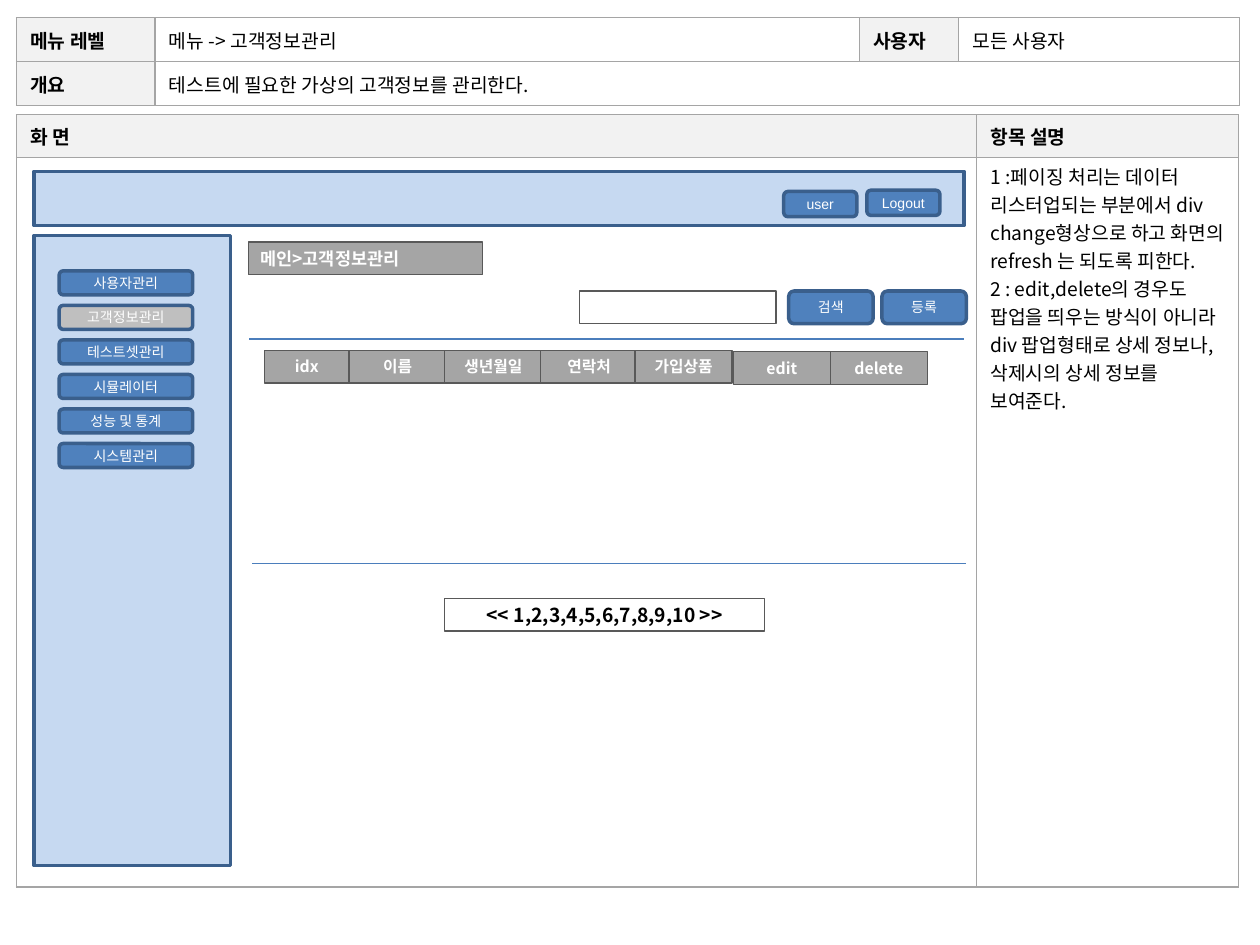
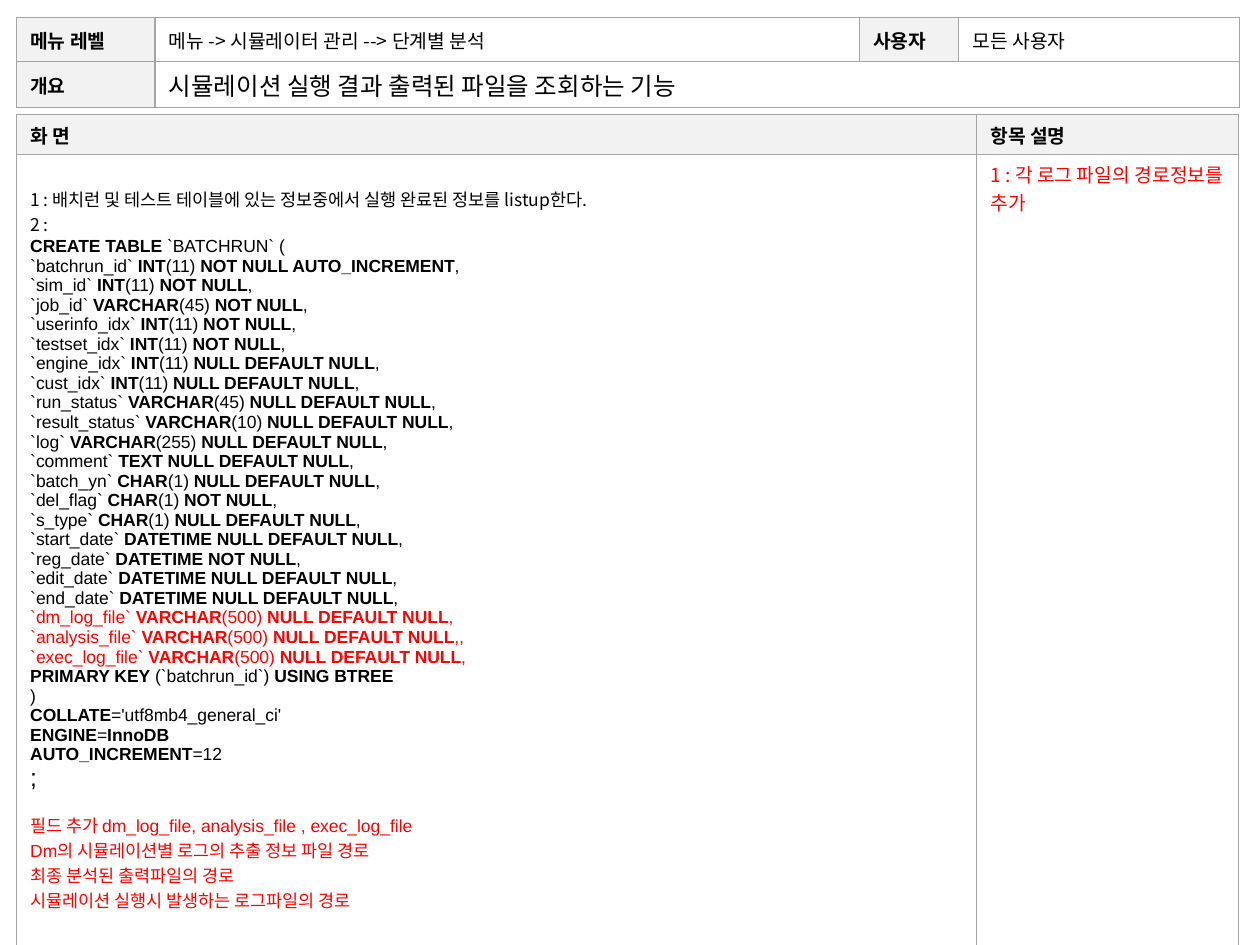
from lxml import etree
from pptx import Presentation
from pptx.dml.color import RGBColor
from pptx.enum import shapes, text
from pptx.oxml import ns
from pptx.util import Inches, Pt

COLORS = {
    "ink": "000000", "white": "FFFFFF", "red": "FF0000",
    "label": "F2F2F2", "grid": "A5A5A5", "gray": "A5A5A5", "gray_line": "595959",
    "panel": "C6D9F1", "button": "4F81BD", "button_line": "3A5F8C",
    "active": "BFBFBF", "rule": "4B7EBC",
}
KOREAN, LATIN = "Noto Sans CJK KR", "Arial"

# ---- Content: "**" switches the emphasis of a paragraph on and off ----
CUSTOMER = {
    "menu": ("메뉴 -> 고객정보관리", {}),
    "summary": ("테스트에 필요한 가상의 고객정보를 관리한다.", {}),
    "rows": (0.34, 5.79),
    "notes": [
        ("1 :페이징 처리는 데이터 리스터업되는 부분에서 div change형상으로 하고 "
         "화면의 refresh 는 되도록 피한다.", {}),
        ("2 : edit,delete의 경우도 팝업을 띄우는 방식이 아니라 div 팝업형태로 "
         "상세 정보나,삭제시의 상세 정보를 보여준다.", {}),
    ],
}
SIDE_MENU = ["사용자관리", "고객정보관리", "테스트셋관리", "시뮬레이터", "성능 및 통계", "시스템관리"]
ACTIVE_MENU = "고객정보관리"
BUTTONS = [  # label, left, top, width, height
    ("Logout", 6.88, 1.51, 0.58, 0.2),
    ("user", 6.22, 1.52, 0.58, 0.2),
    ("검색", 6.26, 2.31, 0.67, 0.26),
    ("등록", 7.0, 2.31, 0.67, 0.26),
]
LIST_COLUMNS = [  # label, left, top, width
    ("idx", 2.1, 2.78, 0.67), ("이름", 2.77, 2.78, 0.77),
    ("생년월일", 3.53, 2.78, 0.77), ("연락처", 4.29, 2.78, 0.77),
    ("가입상품", 5.04, 2.78, 0.77), ("edit", 5.82, 2.79, 0.77),
    ("delete", 6.59, 2.79, 0.77),
]
LIST_RULES = [(1.98, 2.69), (2.0, 4.47)]  # left, top

ANALYSIS = {
    "menu": ("메뉴 -> 시뮬레이터 관리 --> **단계별 분석", {"emphasis": {"name": LATIN}}),
    "summary": ("시뮬레이션 실행 결과 출력된 파일을 조회하는 기능", {"size": 14, "name": LATIN}),
    "rows": (0.32, 6.88),
    "notes": [("1 : 각 로그 파일의 경로정보를 추가", {"color": "red"})],
}
INTRO = ["1 : 배치런 및 테스트 테이블에 있는 정보중에서 실행 완료된 정보를 listup한다.", "2 :"]
FIELDS = [  # name, type, length, rule
    ("batchrun_id", "INT", 11, "NOT NULL AUTO_INCREMENT"),
    ("sim_id", "INT", 11, "NOT NULL"),
    ("job_id", "VARCHAR", 45, "NOT NULL"),
    ("userinfo_idx", "INT", 11, "NOT NULL"),
    ("testset_idx", "INT", 11, "NOT NULL"),
    ("engine_idx", "INT", 11, "NULL DEFAULT NULL"),
    ("cust_idx", "INT", 11, "NULL DEFAULT NULL"),
    ("run_status", "VARCHAR", 45, "NULL DEFAULT NULL"),
    ("result_status", "VARCHAR", 10, "NULL DEFAULT NULL"),
    ("log", "VARCHAR", 255, "NULL DEFAULT NULL"),
    ("comment", "TEXT", None, "NULL DEFAULT NULL"),
    ("batch_yn", "CHAR", 1, "NULL DEFAULT NULL"),
    ("del_flag", "CHAR", 1, "NOT NULL"),
    ("s_type", "CHAR", 1, "NULL DEFAULT NULL"),
    ("start_date", "DATETIME", None, "NULL DEFAULT NULL"),
    ("reg_date", "DATETIME", None, "NOT NULL"),
    ("edit_date", "DATETIME", None, "NULL DEFAULT NULL"),
    ("end_date", "DATETIME", None, "NULL DEFAULT NULL"),
    ("dm_log_file", "VARCHAR", 500, "NULL DEFAULT NULL"),
    ("analysis_file", "VARCHAR", 500, "NULL DEFAULT NULL"),
    ("exec_log_file", "VARCHAR", 500, "NULL DEFAULT NULL"),
]
TABLE_END = [
    "**PRIMARY KEY** (`batchrun_id`) **USING BTREE", ")",
    "**COLLATE**='utf8mb4_general_ci'", "**ENGINE**=**InnoDB", "**AUTO_INCREMENT**=12",
]
ADDED = [
    "필드 추가 dm_log_file, analysis_file , exec_log_file",
    "Dm의 시뮬레이션별 로그의 추출 정보 파일 경로",
    "최종 분석된 출력파일의 경로",
    "시뮬레이션 실행시 발생하는 로그파일의 경로",
]


# ---- Text and colour helpers ----
def rgb(color):
    return RGBColor.from_string(COLORS[color])


def write(frame, lines, **base):
    """Fill a text frame with (text, style) lines over a common style."""
    for number, (line, style) in enumerate(lines):
        look = {"size": 11, "name": KOREAN, "color": "ink", "bold": False,
                "align": text.PP_ALIGN.LEFT, "emphasis": {"bold": True}, **base, **style}
        para = frame.paragraphs[0] if number == 0 else frame.add_paragraph()
        para.alignment = look["align"]
        if "before" in look:
            para.space_before = Pt(look["before"])
        para.font.size = Pt(look["size"])
        para.font.color.rgb = rgb(look["color"])
        para.font.name = look["name"]
        para.font.bold = look["bold"]
        for index, part in enumerate(line.split("**")):
            if part:
                span = para.add_run()
                span.text = part
                if index % 2:
                    for key, value in look["emphasis"].items():
                        setattr(span.font, key, value)


# ---- Table helpers ----
def border(cell):
    props = cell._tc.get_or_add_tcPr()
    for position, side in enumerate(("lnL", "lnR", "lnT", "lnB")):
        line = etree.Element(ns.qn(f"a:{side}"), w=str(Pt(0.75)))
        fill = etree.SubElement(line, ns.qn("a:solidFill"))
        etree.SubElement(fill, ns.qn("a:srgbClr"), val=COLORS["grid"])
        props.insert(position, line)


def add_grid(page, top, widths, heights):
    table = page.shapes.add_table(
        len(heights), len(widths), Inches(0.13), Inches(top),
        Inches(sum(widths)), Inches(sum(heights))).table
    table.first_row = table.horz_banding = False
    for column, width in zip(table.columns, widths):
        column.width = Inches(width)
    for row, height in zip(table.rows, heights):
        row.height = Inches(height)
    for cell in table.iter_cells():
        cell.fill.solid()
        cell.fill.fore_color.rgb = rgb("white")
        cell.margin_left = cell.margin_right = Inches(0.11)
        cell.margin_top = cell.margin_bottom = Inches(0.04)
        border(cell)
    return table


def fill_cell(cell, line, label=False):
    cell.vertical_anchor = text.MSO_ANCHOR.MIDDLE
    if label:
        cell.fill.fore_color.rgb = rgb("label")
    write(cell.text_frame, [line], bold=label)


def add_spec_page(deck, spec):
    """Add the header and body tables; return the page and the screen cell."""
    page = deck.slides.add_slide(deck.slide_layouts[6])
    header = add_grid(page, 0.14, (1.1, 5.59, 0.79, 2.23), (0.35, 0.35))
    header.cell(1, 1).merge(header.cell(1, 3))
    body = add_grid(page, 0.91, (7.62, 2.08), spec["rows"])
    for cell, label in ((header.cell(0, 0), "메뉴 레벨"), (header.cell(0, 2), "사용자"),
                        (header.cell(1, 0), "개요"), (body.cell(0, 0), "화 면"),
                        (body.cell(0, 1), "항목 설명")):
        fill_cell(cell, (label, {}), label=True)
    fill_cell(header.cell(0, 1), spec["menu"])
    fill_cell(header.cell(0, 3), ("모든 사용자", {}))
    fill_cell(header.cell(1, 1), spec["summary"])
    write(body.cell(1, 1).text_frame, spec["notes"])
    return page, body.cell(1, 0)


# ---- Shape helpers ----
def add_box(page, place, fill, line, weight, label="", rounded=False, inset=(0.1, 0.05), **style):
    kind = shapes.MSO_SHAPE.ROUNDED_RECTANGLE if rounded else shapes.MSO_SHAPE.RECTANGLE
    box = page.shapes.add_shape(kind, *map(Inches, place))
    box.shadow.inherit = False
    box.fill.solid()
    box.fill.fore_color.rgb = rgb(fill)
    box.line.color.rgb = rgb(line)
    box.line.width = Pt(weight)
    if label:
        frame = box.text_frame
        frame.word_wrap = True
        frame.vertical_anchor = text.MSO_ANCHOR.MIDDLE
        frame.margin_left = frame.margin_right = Inches(inset[0])
        frame.margin_top = frame.margin_bottom = Inches(inset[1])
        write(frame, [(label, style)])


def add_panel(page, place):
    add_box(page, place, "panel", "button_line", 2)


def add_button(page, label, place, fill="button"):
    add_box(page, place, fill, "button_line", 2, label, rounded=True, inset=(0, 0),
            size=8, name=LATIN, color="white", align=text.PP_ALIGN.CENTER)


def add_field(page, place, fill="white", label="", **style):
    add_box(page, place, fill, "gray_line", 0.75, label, bold=True, **style)


def add_rule(page, left, top, width):
    rule = page.shapes.add_connector(
        shapes.MSO_CONNECTOR.STRAIGHT, Inches(left), Inches(top), Inches(left + width), Inches(top))
    rule.line.color.rgb = rgb("rule")
    rule.line.width = Pt(0.75)
    etree.SubElement(rule._element.spPr, ns.qn("a:effectLst"))


# ---- Pages ----
def build_customer_page(deck):
    page, _ = add_spec_page(deck, CUSTOMER)
    add_panel(page, (0.27, 1.36, 7.38, 0.43))
    add_panel(page, (0.27, 1.87, 1.56, 5))
    for number, label in enumerate(SIDE_MENU):
        fill = "active" if label == ACTIVE_MENU else "button"
        add_button(page, label, (0.47, 2.15 + 0.274 * number, 1.06, 0.19), fill)
    for label, *place in BUTTONS:
        add_button(page, label, place)

    # Breadcrumb, search field, list heading and pager
    center = text.PP_ALIGN.CENTER
    add_field(page, (1.97, 1.92, 1.86, 0.26), "gray", "메인>고객정보관리", size=10, color="white")
    add_field(page, (4.6, 2.31, 1.56, 0.26))
    for label, left, top, width in LIST_COLUMNS:
        add_field(page, (left, top, width, 0.26), "gray", label, size=9, color="white", align=center)
    for left, top in LIST_RULES:
        add_rule(page, left, top, 5.67)
    add_field(page, (3.53, 4.75, 2.54, 0.26), label="<< 1,2,3,4,5,6,7,8,9,10 >>", align=center)


def field_line(name, kind, length, rule):
    size = f"**({length}) **" if length else " "
    color = "red" if name.endswith("_file") else "ink"
    comma = ",," if name == "analysis_file" else ","
    return f"`{name}` **{kind}{size}{rule}**{comma}", {"name": LATIN, "color": color}


def build_analysis_page(deck):
    _, screen = add_spec_page(deck, ANALYSIS)
    screen.margin_top = Inches(0.25)
    code = {"name": LATIN}
    lines = [(line, {}) for line in INTRO]
    lines.append(("**CREATE TABLE** `BATCHRUN` (", code))
    lines += [field_line(*field) for field in FIELDS]
    lines += [(line, code) for line in TABLE_END]
    lines.append((";", {"name": LATIN, "size": 14}))
    for number, line in enumerate(ADDED):
        lines.append((line, {"name": LATIN, "color": "red", "before": 0 if number else 11.5}))
    write(screen.text_frame, lines, size=10)


def main():
    deck = Presentation()
    deck.slide_width, deck.slide_height = Inches(10), Inches(7.5)
    build_customer_page(deck)
    build_analysis_page(deck)
    deck.save("out.pptx")


if __name__ == "__main__":
    main()
